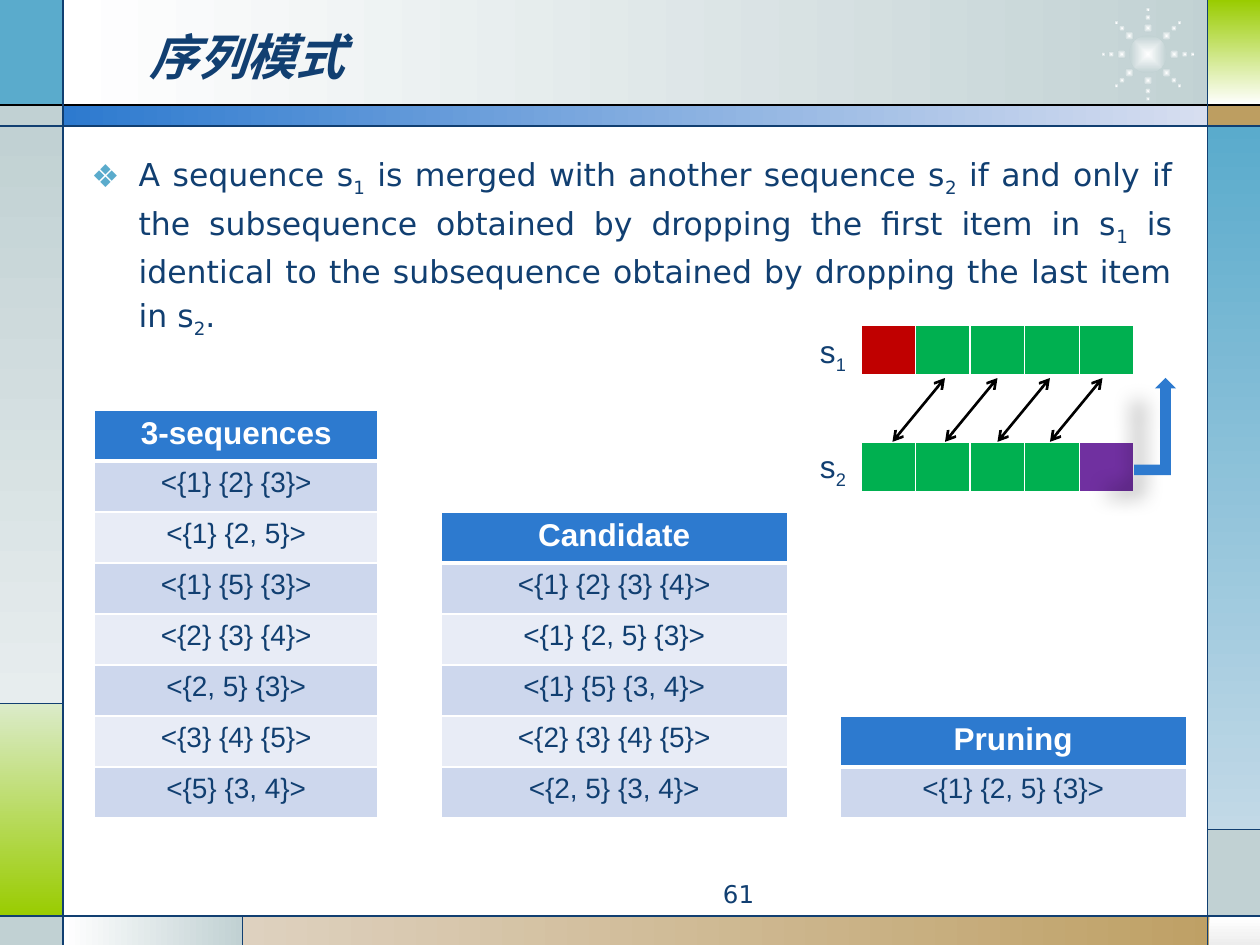
from math import cos, pi, sin
from lxml.etree import SubElement
from pptx import Presentation
from pptx.dml.color import RGBColor
from pptx.enum.shapes import MSO_CONNECTOR, MSO_SHAPE
from pptx.enum.text import MSO_ANCHOR, MSO_AUTO_SIZE, PP_ALIGN
from pptx.oxml.ns import qn
from pptx.util import Pt


class Theme:
    navy, blue, sky, white, black = "113F71", "2D7ACF", "5AABCC", "FFFFFF", "000000"
    silver, mist, tan, sand = "C1D1D3", "E7EDEE", "BD9E61", "DED1BF"
    lime, pale_lime, pale_sky, pale_blue, smoke = "99CC00", "DBEBC9", "C2D9E7", "D7DEF0", "EDEDED"
    bands = ("CDD7ED", "E8ECF6")
    red, green, purple = "C00000", "00B050", "7030A0"
    heading_font, table_font = "DejaVu Sans", "Arial"
    title_size, text_size, cell_size, number_size = 28, 18, 16, 14


def write_text(frame, text, size=Theme.text_size, color=Theme.navy, font=Theme.heading_font,
               bold=False, italic=False, align=PP_ALIGN.LEFT):
    paragraph = frame.paragraphs[0]
    paragraph.alignment = align
    first, *rest = text.split("_")
    pieces = [(first, False)]
    for part in rest:
        pieces += [(part[0], True), (part[1:], False)]
    for piece, subscript in pieces:
        if not piece:
            continue
        run = paragraph.add_run()
        run.text = piece
        run.font.size = Pt(size)
        run.font.name = font
        run.font.bold = bold
        run.font.italic = italic
        run.font.color.rgb = RGBColor.from_string(color)
        if subscript:
            run._r.get_or_add_rPr().set("baseline", "-25000")
    return paragraph


def style_cell(cell, color, top=1, bottom=1):
    properties = cell._tc.get_or_add_tcPr()
    for side, width in (("L", 1), ("R", 1), ("T", top), ("B", bottom)):
        border = SubElement(properties, qn(f"a:ln{side}"), w=str(Pt(width)))
        fill = SubElement(border, qn("a:solidFill"))
        SubElement(fill, qn("a:srgbClr"), val=Theme.white)
    cell.fill.solid()
    cell.fill.fore_color.rgb = RGBColor.from_string(color)


presentation = Presentation()
presentation.slide_width, presentation.slide_height = Pt(720), Pt(540)
slide = presentation.slides.add_slide(presentation.slide_layouts[1])
shapes = slide.shapes

panels = [
    (36, 0, 667.5, 60, Theme.white, Theme.silver, 0),
    (0, 0, 36, 60, Theme.sky, None, 0),
    (0, 60, 36, 12, Theme.silver, None, 0),
    (0, 72, 36, 330, Theme.silver, Theme.mist, 270),
    (0, 402, 36, 122, Theme.pale_lime, Theme.lime, 270),
    (0, 524, 36, 16, Theme.silver, None, 0),
    (36, 523.5, 102.5, 16.5, Theme.white, Theme.silver, 0),
    (138.5, 523.5, 581.5, 16.5, Theme.sand, Theme.tan, 0),
    (691, 524, 29, 16, Theme.white, Theme.smoke, 270),
    (690, 474, 30, 50, Theme.silver, None, 0),
    (690, 72, 30, 402, Theme.sky, Theme.pale_sky, 270),
    (690, 60, 30, 12, Theme.tan, None, 0),
    (690, 0, 30, 60, Theme.lime, Theme.white, 270),
    (36, 60, 654, 12, Theme.blue, Theme.pale_blue, 0),
]
for left, top, width, height, start, end, angle in panels:
    panel = shapes.add_shape(MSO_SHAPE.RECTANGLE, Pt(left), Pt(top), Pt(width), Pt(height))
    panel.shadow.inherit = False
    panel.line.fill.background()
    if end:
        panel.fill.gradient()
        panel.fill.gradient_angle = angle
        for stop, color in zip(panel.fill.gradient_stops, (start, end)):
            stop.color.rgb = RGBColor.from_string(color)
    else:
        panel.fill.solid()
        panel.fill.fore_color.rgb = RGBColor.from_string(start)

star_x, star_y = 656, 31
star_dots = [(star_x, star_y, 21.6)]
for arm in range(8):
    angle = arm * pi / 4
    for radius, size in ((15, 5.2), (21, 3.5), (25.5, 2.5)):
        star_dots.append((star_x + radius * cos(angle), star_y + radius * sin(angle), size))
for x, y, size in star_dots:
    dot = shapes.add_shape(MSO_SHAPE.OVAL, Pt(x - size / 2), Pt(y - size / 2), Pt(size), Pt(size))
    dot.shadow.inherit = False
    dot.line.fill.background()
    dot.fill.gradient()
    for stop, color in zip(dot.fill.gradient_stops, (Theme.white, Theme.silver)):
        stop.color.rgb = RGBColor.from_string(color)
    gradient = dot.element.spPr.find(qn("a:gradFill"))
    gradient.remove(gradient.find(qn("a:lin")))
    focus = SubElement(gradient, qn("a:path"), path="shape")
    SubElement(focus, qn("a:fillToRect"), l="50000", t="50000", r="50000", b="50000")

title, body = shapes.title, slide.placeholders[1]
for placeholder, left, top, width, height in ((title, 78, 9.5, 528, 44.5), (body, 45, 78, 632, 107)):
    shapes.element.append(placeholder.element)
    placeholder.left, placeholder.top = Pt(left), Pt(top)
    placeholder.width, placeholder.height = Pt(width), Pt(height)
    placeholder.text_frame.auto_size = MSO_AUTO_SIZE.NONE
title.text_frame.vertical_anchor = MSO_ANCHOR.MIDDLE
write_text(title.text_frame, "序列模式", size=Theme.title_size, bold=True, italic=True)

body.text_frame.margin_top = Pt(7.2)
paragraph = write_text(
    body.text_frame,
    "A sequence s_1 is merged with another sequence s_2 if and only if the subsequence obtained "
    "by dropping the first item in s_1 is identical to the subsequence obtained by dropping "
    "the last item in s_2.", align=PP_ALIGN.JUSTIFY)
paragraph.line_spacing = 1.14
paragraph.space_before = Pt(0)
properties = paragraph._p.get_or_add_pPr()
properties.set("marL", str(Pt(27)))
properties.set("indent", str(Pt(-27)))
bullet_color = SubElement(properties, qn("a:buClr"))
SubElement(bullet_color, qn("a:srgbClr"), val=Theme.sky)
SubElement(properties, qn("a:buChar"), char="❖")

for left, top, width, height, text, font, align, wrap in (
    (270, 499, 168, 19.5, "61", Theme.heading_font, PP_ALIGN.RIGHT, True),
    (461.5, 186, 30, 29, "s_1", Theme.table_font, PP_ALIGN.LEFT, False),
    (461.5, 252, 30, 29, "s_2", Theme.table_font, PP_ALIGN.LEFT, False),
):
    box = shapes.add_textbox(Pt(left), Pt(top), Pt(width), Pt(height))
    box.text_frame.word_wrap = wrap
    size = Theme.number_size if wrap else Theme.text_size
    write_text(box.text_frame, text, size=size, font=font, align=align)

row_height, tables_bottom = 29.16, 467.5
sequence_tables = [
    (54, 162, ["3-sequences", "<{1} {2} {3}>", "<{1} {2, 5}>", "<{1} {5} {3}>", "<{2} {3} {4}>",
               "<{2, 5} {3}>", "<{3} {4} {5}>", "<{5} {3, 4}>"]),
    (252, 198, ["Candidate", "<{1} {2} {3} {4}>", "<{1} {2, 5} {3}>", "<{1} {5} {3, 4}>",
                "<{2} {3} {4} {5}>", "<{2, 5} {3, 4}>"]),
    (480, 198, ["Pruning", "<{1} {2, 5} {3}>"]),
]
for left, width, entries in sequence_tables:
    height = row_height * len(entries)
    table = shapes.add_table(len(entries), 1, Pt(left), Pt(tables_bottom - height),
                             Pt(width), Pt(height)).table
    for index, entry in enumerate(entries):
        header = index == 0
        table.rows[index].height = Pt(row_height)
        cell = table.cell(index, 0)
        style_cell(cell, Theme.blue if header else Theme.bands[(index - 1) % 2],
                   top=3 if index == 1 else 1, bottom=3 if header else 1)
        write_text(cell.text_frame, entry, size=Theme.text_size if header else Theme.cell_size,
                   color=Theme.white if header else Theme.navy, font=Theme.table_font,
                   bold=header, align=PP_ALIGN.CENTER)

shared_items = [Theme.green] * 4
for top, items in ((186, [Theme.red] + shared_items), (252.7, shared_items + [Theme.purple])):
    strip = shapes.add_table(1, len(items), Pt(492), Pt(top), Pt(156), Pt(row_height)).table
    for index, color in enumerate(items):
        strip.columns[index].width = Pt(31.2)
        style_cell(strip.cell(0, index), color, bottom=3)

merge_arrow = shapes.add_shape(MSO_SHAPE.BENT_UP_ARROW, Pt(648), Pt(216), Pt(24), Pt(55.5))
merge_arrow.fill.solid()
merge_arrow.fill.fore_color.rgb = RGBColor.from_string(Theme.blue)
merge_arrow.line.fill.background()
merge_arrow.shadow.inherit = False
effects = merge_arrow.element.spPr.find(qn("a:effectLst"))
shadow = SubElement(effects, qn("a:outerShdw"), blurRad=str(Pt(11.8)), dist=str(Pt(19.7)),
                    dir="8460000", algn="ctr", rotWithShape="0")
shadow_color = SubElement(shadow, qn("a:srgbClr"), val=Theme.black)
SubElement(shadow_color, qn("a:alpha"), val="28000")

lines = [
    (0, 60, 720, 60, Theme.black, 0.75, False),
    (0, 72, 720, 72, Theme.navy, 0.75, False),
    (0, 523.5, 720, 523.5, Theme.navy, 0.75, False),
    (36, 0, 36, 540, Theme.navy, 0.75, False),
    (690, 0, 690, 540, Theme.navy, 0.75, False),
    (36, 402, 0, 402, Theme.navy, 0.75, False),
    (138.5, 523.5, 138.5, 540, Theme.navy, 0.75, False),
    (690, 474, 720, 474, Theme.navy, 0.75, False),
]
lines += [(x, 252.5, x + 30, 216, Theme.black, 1.5, True) for x in range(510, 630, 30)]
for start_x, start_y, end_x, end_y, color, width, has_arrows in lines:
    connector = shapes.add_connector(MSO_CONNECTOR.STRAIGHT, Pt(start_x), Pt(start_y),
                                     Pt(end_x), Pt(end_y))
    connector.line.color.rgb = RGBColor.from_string(color)
    connector.line.width = Pt(width)
    if has_arrows:
        outline = connector.element.spPr.find(qn("a:ln"))
        for arrow_end in ("a:headEnd", "a:tailEnd"):
            SubElement(outline, qn(arrow_end), type="arrow")
    SubElement(connector.element.spPr, qn("a:effectLst"))

presentation.save("out.pptx")
